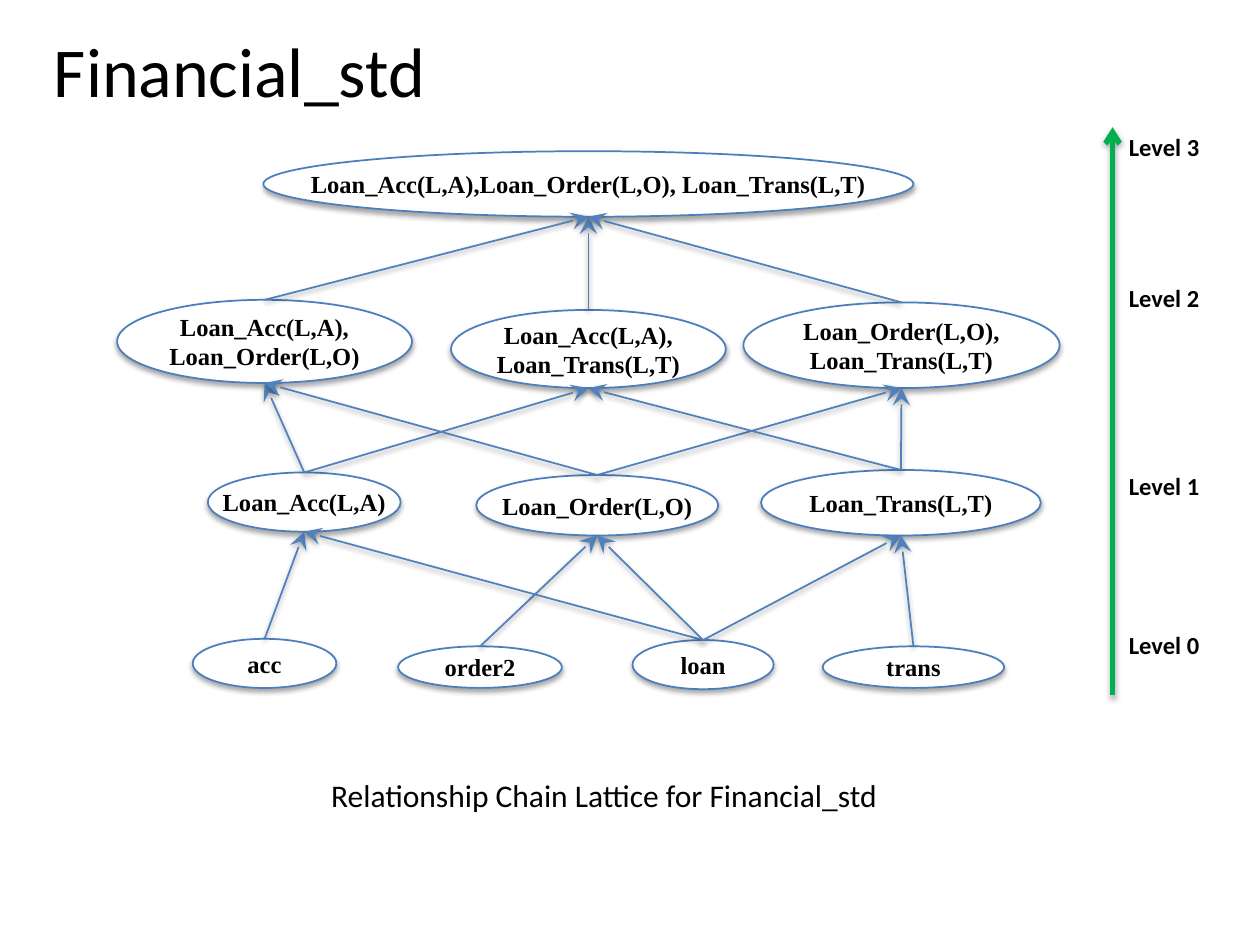
from lxml import etree
from pptx import Presentation
from pptx.dml.color import RGBColor
from pptx.enum import shapes, text
from pptx.oxml import ns
from pptx.util import Inches, Pt

COLORS = {"ink": "000000", "node": "FFFFFF", "rim": "4B7EBC", "edge": "4F81BD", "axis": "00B050"}

NODES = {
    "all": (1.16, 0, 5.16, 0.52, ["Loan_Acc(L,A),Loan_Order(L,O), Loan_Trans(L,T)"]),
    "acc_order": (0, 1.18, 2.34, 0.66, ["Loan_Acc(L,A),", "Loan_Order(L,O)"]),
    "acc_trans": (2.65, 1.26, 2.18, 0.62, ["Loan_Acc(L,A),", "Loan_Trans(L,T)"]),
    "order_trans": (4.97, 1.2, 2.51, 0.68, ["Loan_Order(L,O),", "Loan_Trans(L,T)"]),
    "loan_acc": (0.72, 2.55, 1.53, 0.47, ["Loan_Acc(L,A)"]),
    "loan_order": (2.85, 2.57, 1.92, 0.48, ["Loan_Order(L,O)"]),
    "loan_trans": (5.11, 2.53, 2.22, 0.52, ["Loan_Trans(L,T)"]),
    "acc": (0.6, 3.87, 1.14, 0.39, ["acc"]),
    "order2": (2.23, 3.93, 1.3, 0.33, ["order2"]),
    "loan": (4.09, 3.88, 1.12, 0.39, ["loan"]),
    "trans": (5.6, 3.93, 1.44, 0.33, ["trans"]),
}

PARENTS = {
    "acc": ["loan_acc"],
    "order2": ["loan_order"],
    "loan": ["loan_acc", "loan_order", "loan_trans"],
    "trans": ["loan_trans"],
    "loan_acc": ["acc_order", "acc_trans"],
    "loan_order": ["acc_order", "order_trans"],
    "loan_trans": ["acc_trans", "order_trans"],
    "acc_order": ["all"],
    "acc_trans": ["all"],
    "order_trans": ["all"],
}

LEVELS = {"Level 3": 0.04, "Level 2": 1.24, "Level 1": 2.73, "Level 0": 3.99}


def rgb(name):
    """Return the named colour."""
    return RGBColor.from_string(COLORS[name])


def add_child(parent, tag, **attrs):
    """Append a DrawingML element and return it."""
    child = etree.SubElement(parent, ns.qn(f"a:{tag}"))
    for key, value in attrs.items():
        child.set(key, str(value))
    return child


def add_shadow(sp, alpha=35, dist=1.8):
    """Give a shape or connector a soft shadow straight below it."""
    effects = add_child(sp._element.spPr, "effectLst")
    shadow = add_child(effects, "outerShdw", blurRad=Pt(3.1), dist=Pt(dist),
                       dir=90 * 60000, rotWithShape=0)
    color = add_child(shadow, "srgbClr", val=COLORS["ink"])
    add_child(color, "alpha", val=alpha * 1000)


def write(sp, lines, size=14, font="Calibri", bold=False, align=text.PP_ALIGN.LEFT,
          anchor=text.MSO_ANCHOR.TOP, wrap=False, inset=True):
    """Fill a shape with formatted paragraphs."""
    tf = sp.text_frame
    tf.word_wrap = wrap
    tf.vertical_anchor = anchor
    if not inset:
        tf.margin_left = tf.margin_right = tf.margin_top = tf.margin_bottom = 0
    for i, line in enumerate(lines):
        p = tf.add_paragraph() if i else tf.paragraphs[0]
        p.alignment = align
        r = p.add_run()
        r.text = line
        r.font.name, r.font.size, r.font.bold = font, Pt(size), bold
        r.font.color.rgb = rgb("ink")


def add_label(s, box, line, **fmt):
    """Place one line of text in a box."""
    write(s.shapes.add_textbox(*map(Inches, box)), [line], **fmt)


def add_arrow(s, start, end, color, width, head, **shadow):
    """Draw a shadowed straight arrow between two points."""
    sp = s.shapes.add_connector(shapes.MSO_CONNECTOR.STRAIGHT, *map(Inches, start + end))
    sp.line.color.rgb = rgb(color)
    sp.line.width = Pt(width)
    add_child(sp.line._get_or_add_ln(), "tailEnd", **head)
    add_shadow(sp, **shadow)


def add_node(s, box, lines):
    """Draw one ellipse of the lattice."""
    sp = s.shapes.add_shape(shapes.MSO_SHAPE.OVAL, *map(Inches, box))
    sp.fill.solid()
    sp.fill.fore_color.rgb = rgb("node")
    sp.line.color.rgb = rgb("rim")
    sp.line.width = Pt(1)
    add_shadow(sp)
    write(sp, lines, font="Times New Roman", bold=True, inset=False,
          align=text.PP_ALIGN.CENTER, anchor=text.MSO_ANCHOR.MIDDLE)


def add_lattice(s, left, top):
    """Draw the nodes and link each one's top to its parents' bottoms."""
    boxes = {}
    for name, (x, y, w, h, lines) in NODES.items():
        boxes[name] = (left + x, top + y, w, h)
        add_node(s, boxes[name], lines)
    head = {"type": "stealth", "w": "lg", "len": "lg"}
    for child, parents in PARENTS.items():
        x, y, w, h = boxes[child]
        for parent in parents:
            px, py, pw, ph = boxes[parent]
            add_arrow(s, (x + w / 2, y), (px + pw / 2, py + ph), "edge", 1, head,
                      alpha=38, dist=1.6)


def add_level_axis(s, left, top, height):
    """Draw the upward axis with its level labels."""
    add_arrow(s, (left, top + height), (left, top), "axis", 3, {"type": "arrow"})
    for label, y in LEVELS.items():
        add_label(s, (left + 0.13, top + y, 0.74, 0.3), label, bold=True, wrap=True, inset=False)


def main():
    """Build and save the slide."""
    prs = Presentation()
    prs.slide_width, prs.slide_height = Inches(10), Inches(7.5)
    s = prs.slides.add_slide(prs.slide_layouts[6])
    add_label(s, (0.33, 0.17, 3.17, 0.77), "Financial_std", size=40)
    add_lattice(s, 0.93, 1.2)
    add_level_axis(s, 8.83, 1.01, 4.51)
    add_label(s, (2.53, 6.11, 4.99, 0.4), "Relationship Chain Lattice for Financial_std",
              size=18, wrap=True)
    prs.save("out.pptx")


if __name__ == "__main__":
    main()
